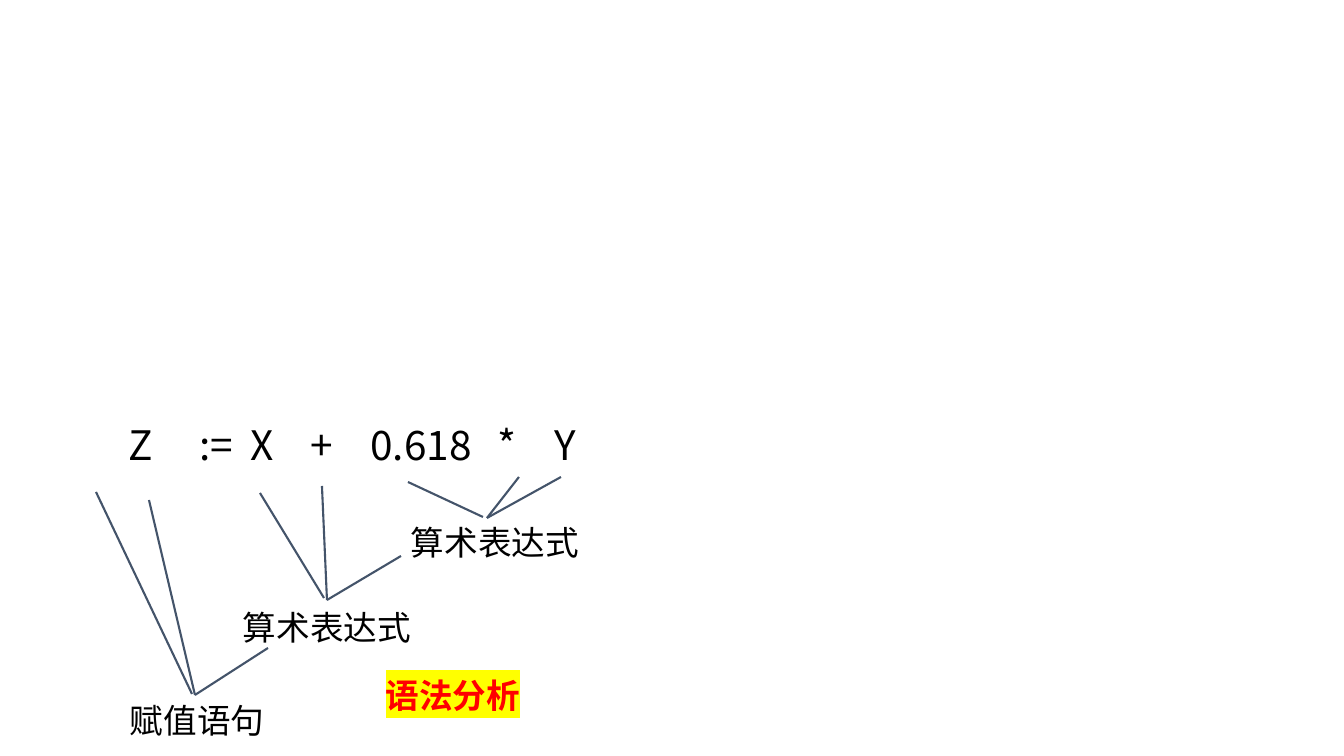
from lxml import etree
from pptx import Presentation
from pptx import util as u
from pptx.dml.color import RGBColor
from pptx.enum import shapes, text
from pptx.oxml.ns import qn

SCALE = 914400 / 100.8
CJK = "Noto Sans CJK SC"
EXPR_LEFT = 14

# Each token with the x of its centre
TOKENS = [("Z", 141), (":=", 216), ("X", 262), ("+", 322),
          ("0.618", 421), ("*", 507), ("Y", 565)]

# Each grammar node: label, left, top, width, branches (from, to)
NODES = [
    ("算术表达式", 401, 517, 190,
     [((408, 482), (483, 517)), ((519, 477), (487, 518)), ((561, 477), (487, 518))]),
    ("算术表达式", 233, 602, 190,
     [((260, 493), (324, 598)), ((322, 486), (327, 600)), ((401, 556), (327, 600))]),
    ("赋值语句", 120, 695, 157,
     [((96, 492), (192, 694)), ((149, 500), (195, 695)), ((268, 648), (195, 695))]),
]


def px(n):
    return u.Emu(round(n * SCALE))


def color(value):
    return RGBColor.from_string(value)


def add_text(s, words, left, top, width, height, *, size=24, font=CJK, fill="000000",
             bold=False, highlight=None, align=text.PP_ALIGN.LEFT, spacing=None,
             anchor=text.MSO_ANCHOR.TOP, wrap=True, inset=None):
    tf = s.shapes.add_textbox(px(left), px(top), px(width), px(height)).text_frame
    tf.word_wrap = wrap
    tf.vertical_anchor = anchor
    if inset is not None:
        tf.margin_left = tf.margin_right = tf.margin_top = tf.margin_bottom = px(inset)
    p = tf.paragraphs[0]
    p.alignment = align
    if spacing:
        p.line_spacing = spacing
    r = p.add_run()
    r.text = words
    r.font.size = u.Pt(size)
    r.font.bold = bold
    r.font.color.rgb = color(fill)
    r.font.name = font
    latin = r.font._element.find(qn("a:latin"))
    ea = etree.Element(qn("a:ea"), typeface=CJK)
    latin.addnext(ea)
    if highlight:
        mark = etree.Element(qn("a:highlight"))
        etree.SubElement(mark, qn("a:srgbClr"), val=highlight)
        latin.addprevious(mark)
    return p


def add_centre_tabs(p, stops):
    tabs = etree.SubElement(p._p.get_or_add_pPr(), qn("a:tabLst"))
    for stop in stops:
        etree.SubElement(tabs, qn("a:tab"), pos=str(px(stop)), algn="ctr")


def add_expression(s):
    words = "".join("\t" + token for token, _ in TOKENS)
    p = add_text(s, words, EXPR_LEFT, 425, 678, 78, size=29, spacing=0.9, inset=0)
    add_centre_tabs(p, [x - EXPR_LEFT for _, x in TOKENS])


def add_branch(s, start, end):
    line = s.shapes.add_connector(shapes.MSO_CONNECTOR.STRAIGHT,
                                  px(start[0]), px(start[1]), px(end[0]), px(end[1]))
    line.line.color.rgb = color("44546A")
    line.line.width = u.Pt(1.5)
    etree.SubElement(line._element.spPr, qn("a:effectLst"))


def add_node(s, label, left, top, width, branches):
    add_text(s, label, left, top, width, 50, font="Arial", wrap=False)
    for start, end in branches:
        add_branch(s, start, end)


def main():
    prs = Presentation()
    prs.slide_width, prs.slide_height = px(1344), px(756)
    s = prs.slides.add_slide(prs.slide_layouts[6])
    add_expression(s)
    for node in NODES:
        add_node(s, *node)
    add_text(s, "语法分析", 364, 668, 178, 53, fill="FF0000", bold=True,
             highlight="FFFF00", align=text.PP_ALIGN.CENTER, spacing=0.9,
             anchor=text.MSO_ANCHOR.BOTTOM)
    prs.save("out.pptx")


if __name__ == "__main__":
    main()
